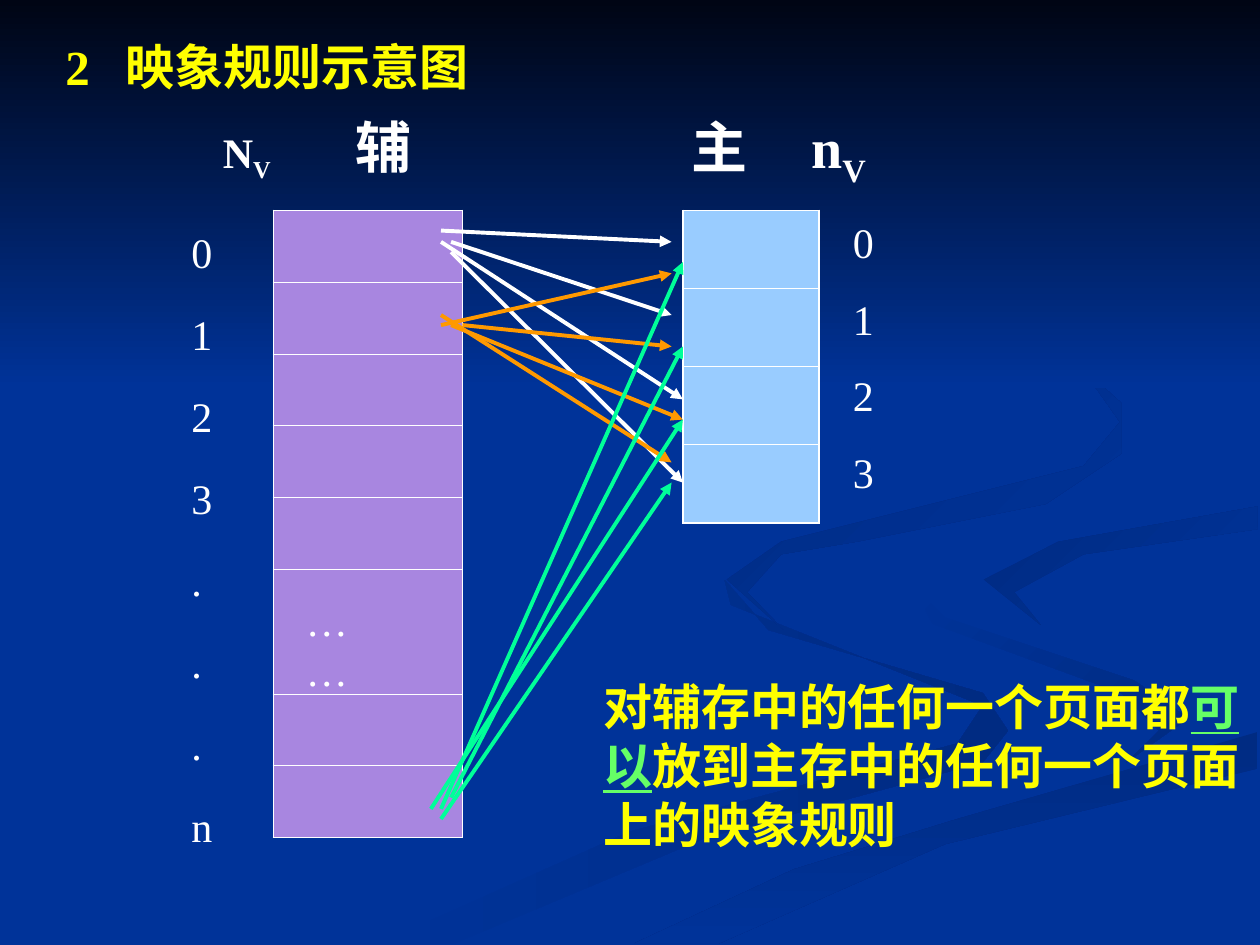
"""Build the slide that shows how storage pages map to main memory pages."""
from pptx import Presentation
from pptx import util as u
from pptx.dml.color import RGBColor
from pptx.enum import shapes, text
from pptx.oxml import parse_xml
from pptx.oxml.ns import nsdecls

WHITE = RGBColor.from_string("FFFFFF")
YELLOW = RGBColor.from_string("FFFF00")
LIME = RGBColor.from_string("66FF66")
ORANGE = RGBColor.from_string("FF9900")
GREEN = RGBColor.from_string("00FF99")
PURPLE = RGBColor.from_string("A886E0")
SKY = RGBColor.from_string("99CCFF")
BLUE = RGBColor.from_string("003399")
NAVY = RGBColor.from_string("002B82")
NIGHT = RGBColor.from_string("000514")

SWIRLS = [
    (BLUE, NAVY, 0, [(7.8, 5.5), (6.1, 5), (5.75, 4.6), (5.8, 4.8), (7.8, 5.6),
                     (7.6, 5.9), (5, 6.6), (3, 7.49), (3.6, 7.49), (5.6, 6.65),
                     (7.8, 6.05), (8, 5.8)]),
    (BLUE, NAVY, 45, [(9.43, 5.7), (9, 5.4), (7.5, 4.9), (7.24, 4.64), (7.4, 4.95),
                      (8.9, 5.5), (9.2, 5.8), (8.94, 6.05)]),
    (NAVY, BLUE, 90, [(5.03, 7.49), (5.7, 7.49), (7.5, 6.7), (9.98, 6.1), (9.98, 5.81),
                      (7.6, 6.5), (6.3, 6.9)]),
    (NAVY, BLUE, 45, [(7.81, 4.6), (8.26, 4.96), (8.05, 4.7), (8.6, 4.4), (9.98, 4.2),
                      (9.98, 4.02), (8.4, 4.3)]),
    (NAVY, BLUE, 45, [(6.8, 4.3), (8.3, 4), (8.9, 3.6), (8.9, 3.2), (8.4, 2.75),
                      (7.62, 2.33), (8.5, 2.8), (8.89, 3.35), (8.6, 3.7), (6.2, 4.3),
                      (5.77, 4.6), (6.22, 5), (5.93, 4.7), (6.2, 4.4)]),
]

ARROWS = {
    WHITE: [(3.5, 1.83, 5.33, 1.92), (3.58, 1.92, 5.33, 2.5),
            (3.5, 1.92, 5.42, 3.17), (3.58, 2, 5.42, 3.83)],
    ORANGE: [(3.5, 2.58, 5.33, 2.17), (3.67, 2.58, 5.33, 2.75),
             (3.58, 2.58, 5.42, 3.33), (3.5, 2.5, 5.33, 3.67)],
    GREEN: [(3.5, 6.42, 5.42, 2.08), (3.58, 6.33, 5.42, 2.75),
            (3.42, 6.42, 5.42, 3.33), (3.5, 6.5, 5.33, 3.83)],
}


class Deck:
    """Hold the font and the current slide, and draw each kind of element."""

    font = "Times New Roman"

    def __init__(self, prs):
        self.s = prs.slides.add_slide(prs.slide_layouts[6])
        self.s.background.fill.solid()
        self.s.background.fill.fore_color.rgb = BLUE

    def shade(self, sp, start, end, angle):
        sp.shadow.inherit = False
        sp.line.fill.background()
        sp.fill.gradient()
        sp.fill.gradient_angle = -angle % 360
        for stop, color in zip(sp.fill.gradient_stops, (start, end)):
            stop.color.rgb = color

    def swirl(self, start, end, angle, points):
        pts = [(u.Inches(x), u.Inches(y)) for x, y in points]
        fb = self.s.shapes.build_freeform(*pts[0], scale=1.0)
        fb.add_line_segments(pts[1:], close=True)
        self.shade(fb.convert_to_shape(), start, end, angle)

    def band(self, box, start, end):
        sp = self.s.shapes.add_shape(shapes.MSO_SHAPE.RECTANGLE, *map(u.Inches, box))
        self.shade(sp, start, end, 90)

    def text(self, box, paragraphs, before=0, after=0, spacing=None, tabs=(), grow=True):
        tf = self.s.shapes.add_textbox(*map(u.Inches, box)).text_frame
        tf.word_wrap = True
        if grow:
            tf.auto_size = text.MSO_AUTO_SIZE.SHAPE_TO_FIT_TEXT
        for i, runs in enumerate(paragraphs):
            p = tf.paragraphs[0] if i == 0 else tf.add_paragraph()
            p.space_before, p.space_after = u.Pt(before), u.Pt(after)
            p.line_spacing = spacing
            if tabs:
                stops = "".join(f'<a:tab pos="{u.Inches(t)}" algn="l"/>' for t in tabs[i])
                p._p.get_or_add_pPr().append(
                    parse_xml(f'<a:tabLst {nsdecls("a")}>{stops}</a:tabLst>'))
            for run in runs:
                self.run(p, *run)

    def run(self, p, words, size=24, color=WHITE, bold=False, underline=False, sub=False):
        r = p.add_run()
        r.text = words
        r.font.name, r.font.size, r.font.bold = self.font, u.Pt(size), bold
        r.font.underline = underline
        r.font.color.rgb = color
        if sub:
            r._r.get_or_add_rPr().set("baseline", "-25000")

    def pages(self, left, top, width, heights, color):
        box = map(u.Inches, (left, top, width, sum(heights)))
        table = self.s.shapes.add_table(len(heights), 1, *box).table
        table.first_row = table.horz_banding = False
        last = len(heights) - 1
        for i, height in enumerate(heights):
            table.rows[i].height = u.Inches(height)
            cell = table.cell(i, 0)
            thin, thick = u.Pt(0.45), u.Pt(1.08)
            edges = {"L": thick, "R": thick, "T": thin if i else thick,
                     "B": thin if i < last else thick}
            for side, weight in edges.items():
                cell._tc.get_or_add_tcPr().append(parse_xml(
                    f'<a:ln{side} {nsdecls("a")} w="{weight}"><a:solidFill>'
                    f'<a:srgbClr val="{WHITE}"/></a:solidFill></a:ln{side}>'))
            cell.fill.solid()
            cell.fill.fore_color.rgb = color

    def arrow(self, ends, color):
        sp = self.s.shapes.add_connector(shapes.MSO_CONNECTOR.STRAIGHT, *map(u.Inches, ends))
        sp.line.color.rgb = color
        sp.line.width = u.Pt(2.25)
        sp.line._get_or_add_ln().append(
            parse_xml(f'<a:tailEnd {nsdecls("a")} type="triangle"/>'))
        sp._element.spPr.append(parse_xml(f'<a:effectLst {nsdecls("a")}/>'))


def main():
    prs = Presentation()
    prs.slide_width, prs.slide_height = u.Inches(10), u.Inches(7.5)
    d = Deck(prs)
    for swirl in SWIRLS:
        d.swirl(*swirl)
    d.band((0, 0, 10, 3.08), NIGHT, BLUE)

    d.text((0.42, 0.33, 9.33, 6.58), [
        [("2\t映象规则示意图", 28, YELLOW, True)],
        [("\tN", 24, WHITE, True), ("V", 24, WHITE, True, False, True),
         ("\t辅\t主\tn", 32, WHITE, True), ("V", 32, WHITE, True, False, True)],
    ], before=8, after=6, spacing=0.8, tabs=[[0.48], [1.25, 2.3, 4.97, 5.92]], grow=False)

    d.pages(2.17, 1.67, 1.5, [0.57] * 5 + [0.99] + [0.57] * 2, PURPLE)
    d.text((2.33, 4.67, 0.83, 0.9), [[("……",)]], before=15)
    d.pages(5.42, 1.67, 1.08, [0.62] * 4, SKY)
    d.text((6.67, 1.67, 0.75, 2.33), [[(c,)] for c in "0123"], before=15)
    d.text((1.42, 1.75, 0.58, 5.05), [[(c,)] for c in "0123...n"], before=18)

    for color, group in ARROWS.items():
        for ends in group:
            d.arrow(ends, color)

    d.text((4.69, 5.32, 5.31, 1.5), [[
        ("对辅存中的任何一个页面都", 28, YELLOW, True),
        ("可以", 28, LIME, True, True),
        ("放到主存中的任何一个页面上的映象规则", 28, YELLOW, True)]])
    prs.save("out.pptx")


if __name__ == "__main__":
    main()
